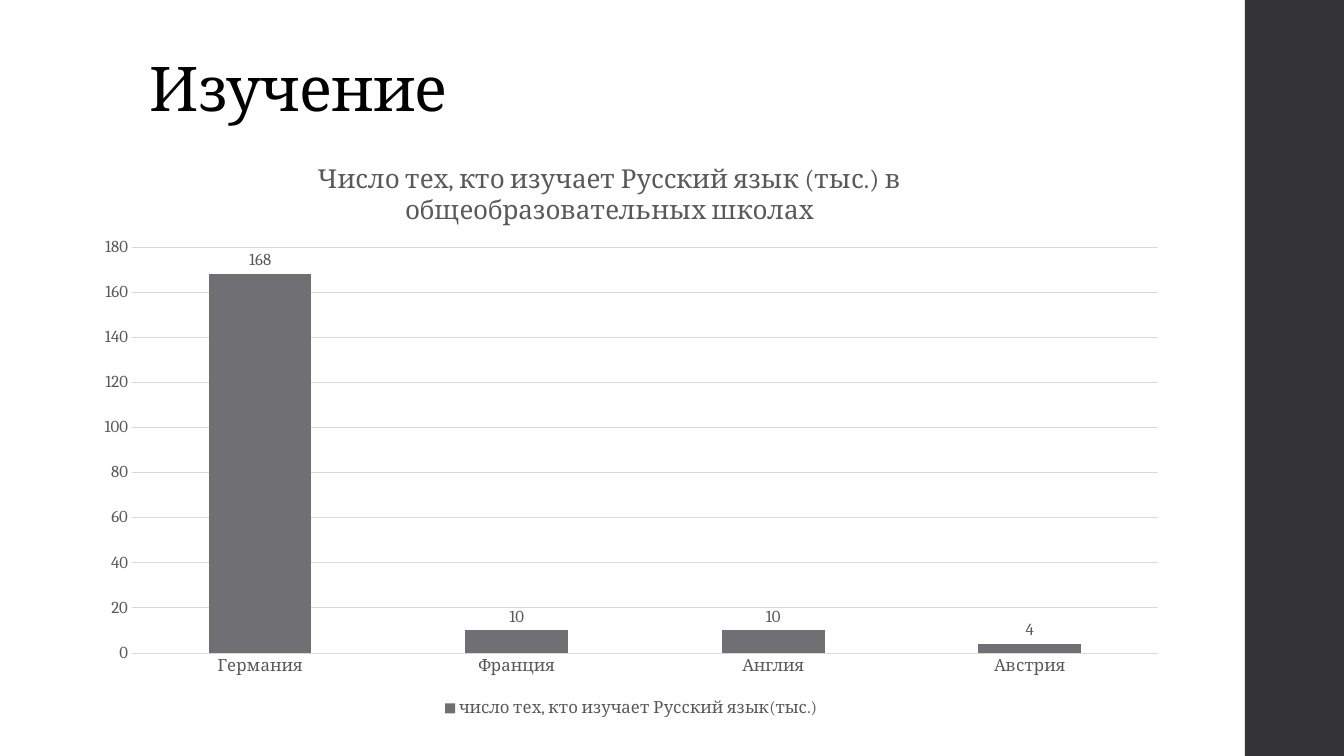
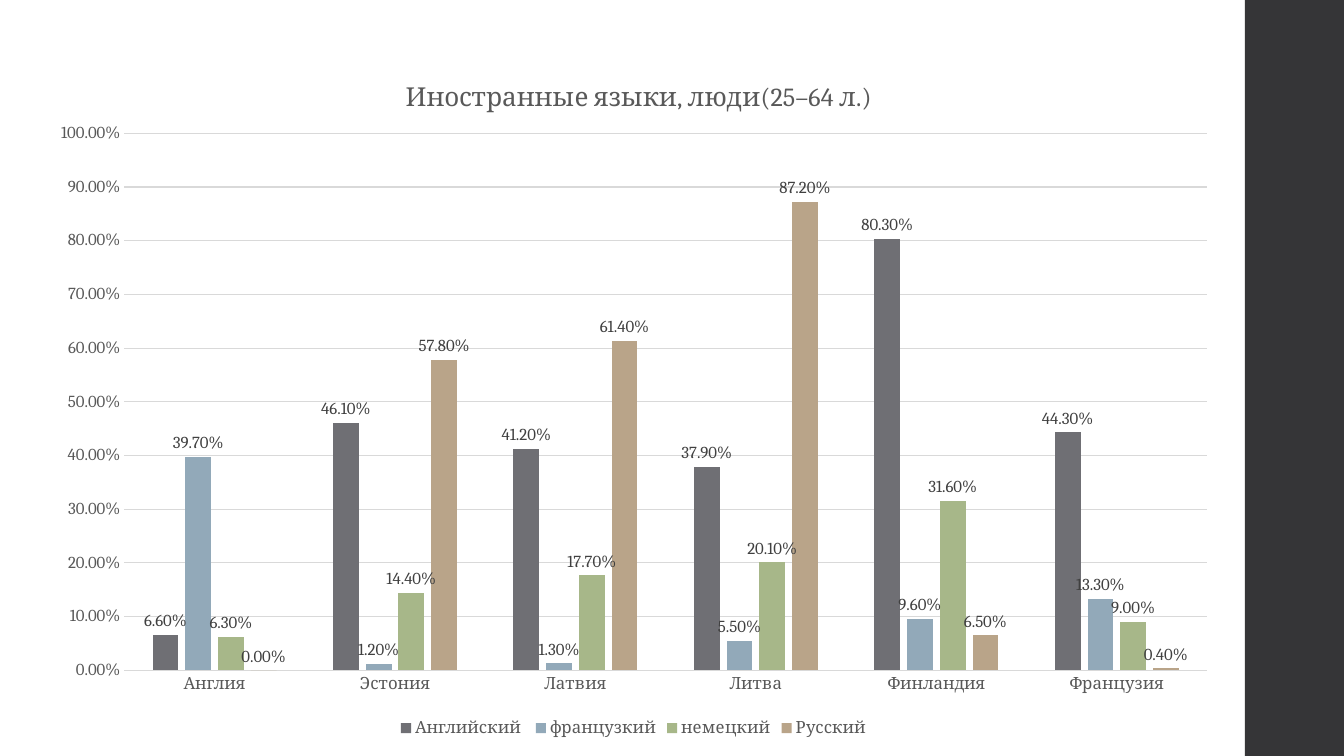
from lxml import etree
from pptx import Presentation
from pptx.chart.data import CategoryChartData
from pptx.dml.color import RGBColor
from pptx.enum.chart import XL_CHART_TYPE, XL_LABEL_POSITION, XL_LEGEND_POSITION, XL_TICK_MARK
from pptx.enum.shapes import MSO_SHAPE
from pptx.enum.text import MSO_ANCHOR, MSO_AUTO_SIZE, PP_ALIGN
from pptx.oxml.ns import qn
from pptx.util import Cm, Pt

FONT = "Cambria"
BLACK, GRAY, DARK, GRID, BAND = "000000", "595959", "404040", "D9D9D9", "353537"
SERIES_COLORS = ["6F6F74", "92A9B9", "A7B789", "B9A489"]

PAGES = [
    {
        "heading": "Изучение",
        "title": "Число тех, кто изучает Русский язык (тыс.) в общеобразовательных школах",
        "place": (2.08, 3.51, 27.66, 14.68),
        "title_at": {"x": 0.21, "y": 0.03},
        "plot_at": {"x": 0.045, "y": 0.185, "w": 0.935, "h": 0.697},
        "categories": ["Германия", "Франция", "Англия", "Австрия"],
        "series": {"число тех, кто изучает Русский язык(тыс.)": [168, 10, 10, 4]},
        "format": "General", "top": 180, "step": 20,
        "gap": 150, "overlap": 0, "label_color": GRAY, "base_line": False,
    },
    {
        "heading": None,
        "title": "Иностранные языки, люди(25–64 л.)",
        "place": (0.94, 1.27, 30.05, 17.42),
        "title_at": {"x": 0.305, "y": 0.035},
        "plot_at": {"x": 0.073, "y": 0.12, "w": 0.908, "h": 0.777},
        "categories": ["Англия", "Эстония", "Латвия", "Литва", "Финландия", "Французия"],
        "series": {
            "Английский ": [0.066, 0.461, 0.412, 0.379, 0.803, 0.443],
            "французкий": [0.397, 0.012, 0.013, 0.055, 0.096, 0.133],
            "немецкий": [0.063, 0.144, 0.177, 0.201, 0.316, 0.09],
            "Русский": [0, 0.578, 0.614, 0.872, 0.065, 0.004],
        },
        "format": "0.00%", "top": 1, "step": 0.1,
        "gap": 219, "overlap": -27, "label_color": DARK, "base_line": True,
    },
]


def rgb(value):
    return RGBColor.from_string(value)


def style_font(font, size=12, color=GRAY):
    font.name, font.size, font.bold = FONT, Pt(size), False
    font.color.rgb = rgb(color)


def write_text(frame, text, size=12, color=GRAY, align=PP_ALIGN.CENTER, line_spacing=None, spacing=None):
    frame.text = text
    para = frame.paragraphs[0]
    para.alignment, para.line_spacing = align, line_spacing
    span = para.runs[0]
    style_font(span.font, size, color)
    if spacing is not None:
        span.font._element.set("spc", str(int(spacing * 100)))


def set_layout(parent, index, position, inner=False):
    layout = parent.find(qn("c:layout"))
    if layout is not None:
        parent.remove(layout)
    layout = etree.Element(qn("c:layout"))
    parent.insert(index, layout)
    manual = etree.SubElement(layout, qn("c:manualLayout"))
    settings = [("layoutTarget", "inner")] if inner else []
    settings += [("xMode", "edge"), ("yMode", "edge"), *position.items()]
    for name, value in settings:
        etree.SubElement(manual, qn(f"c:{name}")).set("val", str(value))


def add_band(deck, page):
    band = page.shapes.add_shape(MSO_SHAPE.RECTANGLE, Cm(31.37), 0, Cm(2.54), deck.slide_height)
    band.shadow.inherit = False
    band.fill.solid()
    band.fill.fore_color.rgb = rgb(BAND)
    band.line.fill.background()
    deck.slide_master.shapes.element.append(band.element)


def add_heading(page, text):
    box = page.shapes.title
    box.left, box.top, box.width, box.height = Cm(3.51), Cm(1.02), Cm(26.92), Cm(2.26)
    frame = box.text_frame
    frame.auto_size, frame.vertical_anchor = MSO_AUTO_SIZE.NONE, MSO_ANCHOR.BOTTOM
    write_text(frame, text, size=44, color=BLACK, align=PP_ALIGN.LEFT, line_spacing=0.9, spacing=-0.5)


def style_line(line, color=None):
    if color:
        line.color.rgb, line.width = rgb(color), Pt(0.75)
    else:
        line.fill.background()


def style_axes(chart, content):
    values, categories = chart.value_axis, chart.category_axis
    for axis in (values, categories):
        axis.major_tick_mark = axis.minor_tick_mark = XL_TICK_MARK.NONE
        style_font(axis.tick_labels.font)
    style_line(values.format.line)
    style_line(categories.format.line, GRID if content["base_line"] else None)
    style_line(values.major_gridlines.format.line, GRID)
    values.minimum_scale, values.maximum_scale = 0, content["top"]
    values.major_unit = content["step"]
    values.tick_labels.number_format = content["format"]
    values.tick_labels.number_format_is_linked = False


def style_series(plot, content):
    plot.vary_by_categories = False
    plot.gap_width, plot.overlap = content["gap"], content["overlap"]
    for series, color in zip(plot.series, SERIES_COLORS):
        series.format.fill.solid()
        series.format.fill.fore_color.rgb = rgb(color)
        labels = series.data_labels
        labels.show_value, labels.position = True, XL_LABEL_POSITION.OUTSIDE_END
        labels.number_format, labels.number_format_is_linked = content["format"], False
        style_font(labels.font, color=content["label_color"])


def add_column_chart(page, content):
    data = CategoryChartData(number_format=content["format"])
    data.categories = content["categories"]
    for name, values in content["series"].items():
        data.add_series(name, values)
    place = [Cm(length) for length in content["place"]]
    chart = page.shapes.add_chart(XL_CHART_TYPE.COLUMN_CLUSTERED, *place, data).chart
    style_font(chart.font, 10, BLACK)
    write_text(chart.chart_title.text_frame, content["title"], size=18.6)
    chart.chart_title.include_in_layout = False
    set_layout(chart.chart_title._element, 1, content["title_at"])
    set_layout(chart.plots[0]._element.getparent(), 0, content["plot_at"], inner=True)
    chart.has_legend = True
    chart.legend.position = XL_LEGEND_POSITION.BOTTOM
    chart.legend.include_in_layout = False
    style_font(chart.legend.font)
    style_axes(chart, content)
    style_series(chart.plots[0], content)


def main():
    deck = Presentation()
    deck.slide_width, deck.slide_height = Cm(33.87), Cm(19.05)
    title_only, blank = deck.slide_layouts[5], deck.slide_layouts[6]
    for content in PAGES:
        page = deck.slides.add_slide(title_only if content["heading"] else blank)
        if content["heading"]:
            add_heading(page, content["heading"])
        add_column_chart(page, content)
    add_band(deck, deck.slides[0])
    deck.save("out.pptx")


if __name__ == "__main__":
    main()
